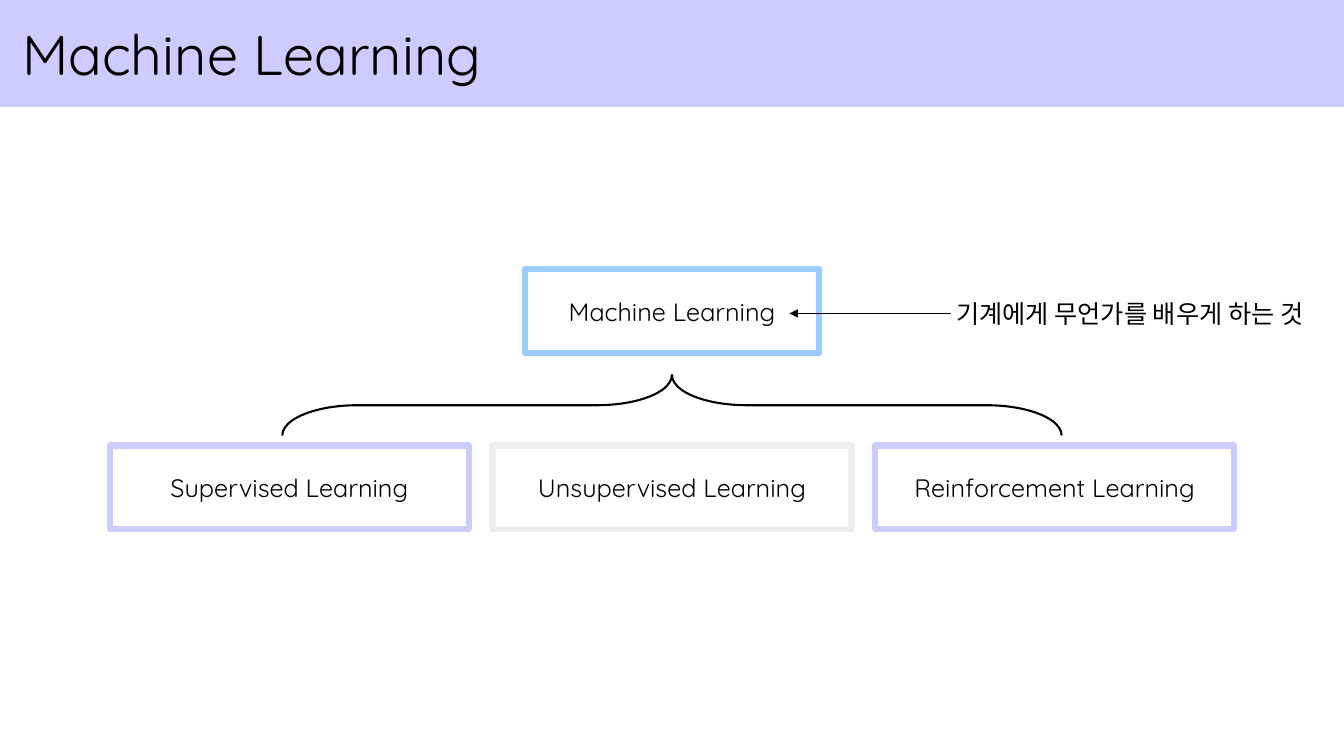
import pptx
import pptx.util
import pptx.dml.color
import pptx.enum.shapes
import pptx.enum.text
import pptx.oxml.ns
import lxml.etree

Inches = pptx.util.Inches
SHAPES = pptx.enum.shapes.MSO_SHAPE
ALIGN = pptx.enum.text.PP_ALIGN
LATIN, KOREAN = "Quicksand", "Noto Sans CJK KR"
BLACK, LILAC, SKY, GREY = "000000", "CCCCFF", "99CCFF", "EDEDED"


def colour(value):
    """Turn a hex string into a colour."""
    return pptx.dml.color.RGBColor.from_string(value)


def add_element(parent, tag, **attributes):
    """Append a drawing element to its parent."""
    return lxml.etree.SubElement(parent, pptx.oxml.ns.qn(tag), **attributes)


def write(shape, text, size=18, font=LATIN, align=ALIGN.CENTER):
    """Write one run of text into a shape."""
    para = shape.text_frame.paragraphs[0]
    para.alignment = align
    span = para.add_run()
    span.text = text
    span.font.size = pptx.util.Pt(size)
    span.font.color.rgb = colour(BLACK)
    span.font.name = font
    add_element(span.font._element, "a:ea", typeface=font)


def add_title(page, text, left, top, width, height):
    """Make the title placeholder a coloured band."""
    title = page.shapes.title
    title.left, title.top = Inches(left), Inches(top)
    title.width, title.height = Inches(width), Inches(height)
    title.fill.solid()
    title.fill.fore_color.rgb = colour(LILAC)
    frame = title.text_frame
    frame.auto_size = pptx.enum.text.MSO_AUTO_SIZE.NONE
    frame.vertical_anchor = pptx.enum.text.MSO_ANCHOR.MIDDLE
    frame.margin_left = Inches(0.22)
    write(title, text, size=40, align=ALIGN.LEFT)


def add_outline(page, kind, left, top, width, height, line, weight):
    """Add an unfilled shape with a coloured outline."""
    shape = page.shapes.add_shape(
        kind, Inches(left), Inches(top), Inches(width), Inches(height))
    shape.shadow.inherit = False
    shape.fill.background()
    shape.line.color.rgb = colour(line)
    shape.line.width = pptx.util.Pt(weight)
    return shape


def add_node(page, text, left, top, width, height, line):
    """Add a labelled box of the tree."""
    box = add_outline(page, SHAPES.RECTANGLE, left, top, width, height, line, 4.5)
    box.text_frame.word_wrap = True
    box.text_frame.vertical_anchor = pptx.enum.text.MSO_ANCHOR.MIDDLE
    write(box, text)


def add_brace(page, left, top, width, height):
    """Add a brace that points up and spans the given box."""
    brace = add_outline(
        page, SHAPES.RIGHT_BRACE, left + (width - height) / 2,
        top + (height - width) / 2, height, width, BLACK, 1.5)
    brace.rotation = 270
    brace.adjustments[0] = 1.241
    brace.adjustments[1] = 0.5


def add_note(page, text, left, top, width, height, target):
    """Add a note and an arrow from it to the target position."""
    note = page.shapes.add_textbox(
        Inches(left), Inches(top), Inches(width), Inches(height))
    note.text_frame.word_wrap = True
    write(note, text, font=KOREAN)
    middle = Inches(top + height / 2)
    arrow = page.shapes.add_connector(
        pptx.enum.shapes.MSO_CONNECTOR.STRAIGHT,
        Inches(left + 0.05), middle, Inches(target), middle)
    arrow.line.color.rgb = colour(BLACK)
    arrow.line.width = pptx.util.Pt(1)
    add_element(arrow.line._get_or_add_ln(), "a:tailEnd", type="triangle")
    add_element(arrow._element.spPr, "a:effectLst")


def add_tree(page, left, top, width):
    """Add the root, the brace and the three branches below."""
    height, root_width, branch_width = 0.83, 2.92, 3.56
    add_node(page, "Machine Learning", left + (width - root_width) / 2, top,
             root_width, height, SKY)
    brace_width = 7.73
    add_brace(page, left + (width - brace_width) / 2, top + 1.05, brace_width, 0.6)
    branches = [("Supervised Learning", LILAC), ("Unsupervised Learning", GREY),
                ("Reinforcement Learning", LILAC)]
    step = (width - branch_width) / (len(branches) - 1)
    for index, (text, line) in enumerate(branches):
        add_node(page, text, left + index * step, top + 1.75,
                 branch_width, height, line)


def main():
    """Build the slide and save the deck."""
    deck = pptx.Presentation()
    deck.slide_width, deck.slide_height = Inches(13.33), Inches(7.5)
    page = deck.slides.add_slide(deck.slide_layouts[5])
    add_title(page, "Machine Learning", 0, 0, 13.33, 1.06)
    add_tree(page, 1.09, 2.67, 11.15)
    add_note(page, "기계에게 무언가를 배우게 하는 것", 9.38, 2.91, 3.65, 0.4, 7.83)
    deck.save("out.pptx")


if __name__ == "__main__":
    main()
